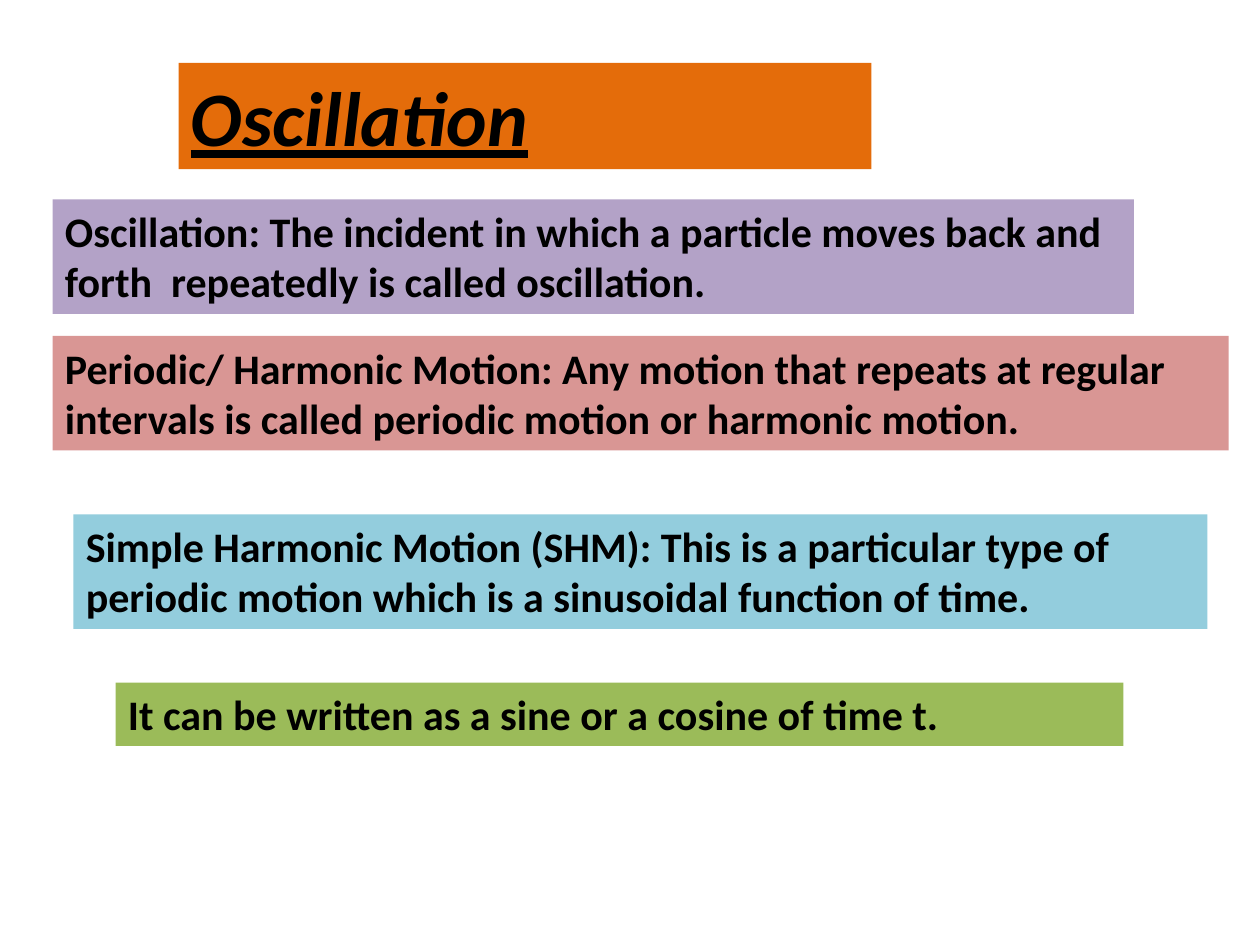
import pptx
import pptx.util
import pptx.dml.color
import pptx.enum.text

Cm = pptx.util.Cm


def paint(code):
    return pptx.dml.color.RGBColor.from_string(code)


# Blank 4:3 slide
deck = pptx.Presentation()
deck.slide_width = Cm(25.4)
deck.slide_height = Cm(19.05)
slide = deck.slides.add_slide(deck.slide_layouts[6])

# Title and statements: left, top, width, height (cm), fill, size, text
bands = [
    (3.6, 1.27, 13.97, 2.14, "E46C0A", 44, "Oscillation"),
    (1.06, 4.02, 21.8, 2.31, "B3A2C7", 24,
     "Oscillation: The incident in which a particle moves back and "
     "forth  repeatedly is called oscillation."),
    (1.06, 6.77, 23.71, 2.31, "D99694", 24,
     "Periodic/ Harmonic Motion: Any motion that repeats at regular "
     "intervals is called periodic motion or harmonic motion."),
    (1.48, 10.37, 22.86, 2.31, "93CDDD", 24,
     "Simple Harmonic Motion (SHM): This is a particular type of "
     "periodic motion which is a sinusoidal function of time."),
    (2.33, 13.76, 20.32, 1.28, "9BBB59", 24,
     "It can be written as a sine or a cosine of time t."),
]

for left, top, width, height, fill, size, text in bands:
    box = slide.shapes.add_textbox(Cm(left), Cm(top), Cm(width), Cm(height))
    box.fill.solid()
    box.fill.fore_color.rgb = paint(fill)
    frame = box.text_frame
    frame.word_wrap = True
    frame.auto_size = pptx.enum.text.MSO_AUTO_SIZE.SHAPE_TO_FIT_TEXT
    frame.text = text
    font = frame.paragraphs[0].runs[0].font
    font.name = "Calibri"
    font.size = pptx.util.Pt(size)
    font.bold = True
    font.color.rgb = paint("000000")
    # Only the title is slanted and underlined
    if size == 44:
        font.italic = True
        font.underline = True

deck.save("out.pptx")
